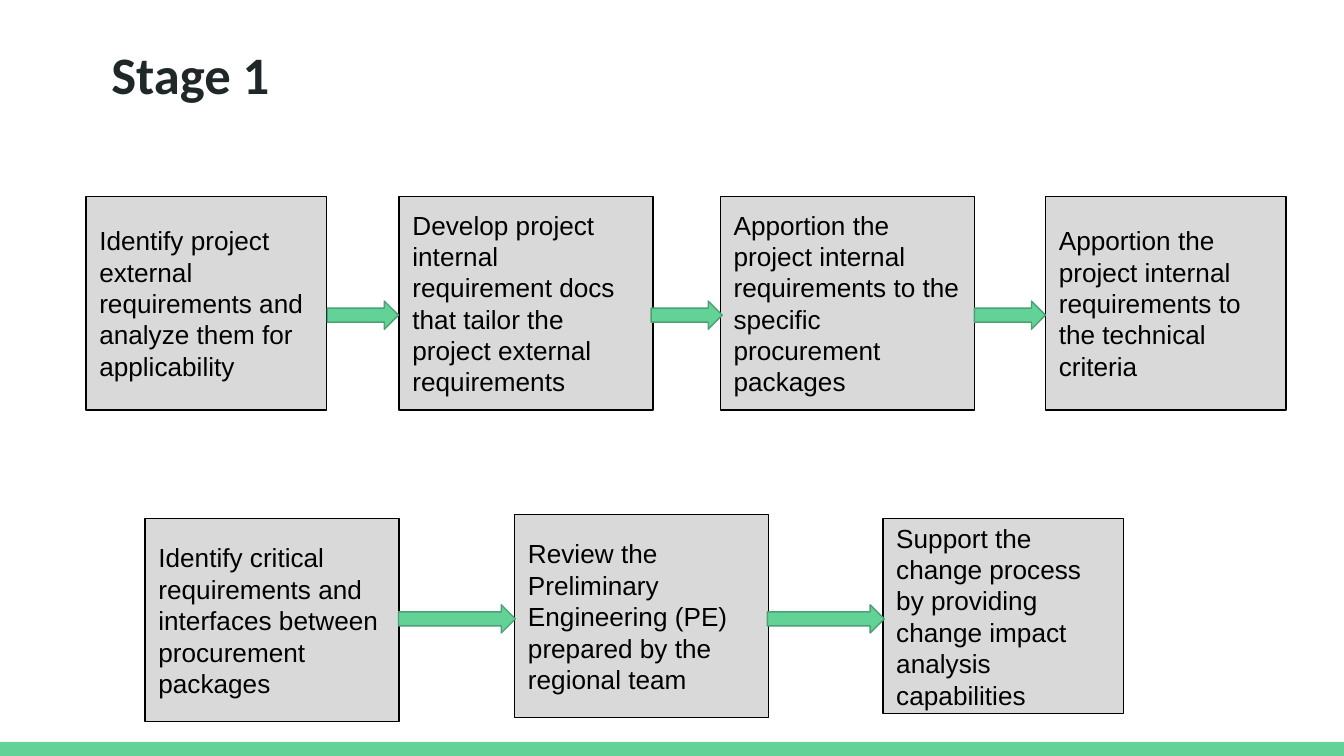
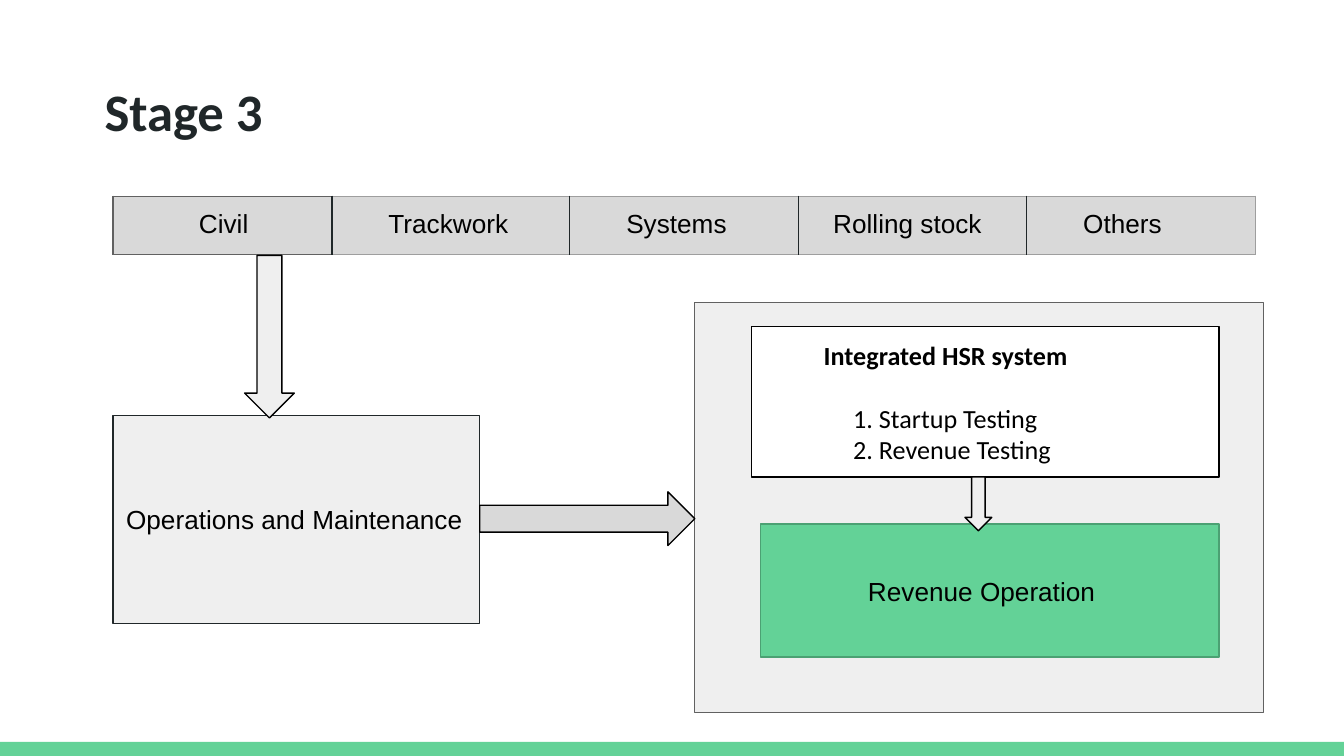
from lxml import etree
from pptx import Presentation
from pptx.dml.color import RGBColor
from pptx.enum.shapes import MSO_SHAPE as Preset
from pptx.enum.text import MSO_ANCHOR as Anchor, PP_ALIGN as Align
from pptx.oxml.ns import qn
from pptx.util import Inches, Pt

# Shared look
GREEN, DARK_GREEN = "63D297", "4BA173"
GREY, PALE, WHITE, BLACK = "D9D9D9", "EFEFEF", "FFFFFF", "000000"
INK, MID_GREY, LIGHT_GREY = "202729", "616161", "9E9E9E"
BODY = {"size": Pt(14), "name": "Arial", "bold": False}
CALIBRI_BODY = {**BODY, "name": "Calibri"}
TITLE = {"size": Pt(28.2), "name": "Calibri", "bold": True}
ARROW_HEIGHT = 0.21

# Stage 1: rows of steps, each step is (left, top, width, height, text)
STEP_ROWS = [
    {"arrow_top": 2.24, "arrow_width": 0.53, "steps": [
        (0.64, 1.46, 1.79, 1.59, "Identify project external requirements and "
         "analyze them for applicability"),
        (2.97, 1.46, 1.89, 1.59, "Develop project internal requirement docs "
         "that tailor the project external requirements"),
        (5.36, 1.46, 1.89, 1.59, "Apportion the project internal requirements "
         "to the specific procurement packages"),
        (7.78, 1.46, 1.79, 1.59, "Apportion the project internal requirements "
         "to the technical criteria"),
    ]},
    {"arrow_top": 4.5, "arrow_width": 0.87, "steps": [
        (1.08, 3.86, 1.89, 1.51, "Identify critical requirements and "
         "interfaces between procurement packages"),
        (3.83, 3.83, 1.89, 1.51, "Review the Preliminary Engineering (PE) "
         "prepared by the regional team"),
        (6.57, 3.86, 1.79, 1.45, "Support the change process by providing "
         "change impact analysis capabilities"),
    ]},
]

# Stage 3: (discipline, column width, text indent)
DISCIPLINES = [
    ("Civil", 1.63, 0.54),
    ("Trackwork", 1.77, 0.32),
    ("Systems", 1.7, 0.32),
    ("Rolling stock", 1.7, 0.16),
    ("Others", 1.7, 0.32),
]
TESTS = ["1. Startup Testing", "2. Revenue Testing"]
STAGE_ARROWS = [
    (Preset.DOWN_ARROW, (7.18, 3.55, 0.2, 0.4), PALE),
    (Preset.DOWN_ARROW, (1.82, 1.9, 0.37, 1.21), PALE),
    (Preset.RIGHT_ARROW, (3.57, 3.66, 1.6, 0.4), GREY),
]


def color(value):
    return RGBColor.from_string(value)


def write(paragraph, text, font, ink=BLACK, indent=0):
    properties = paragraph._p.get_or_add_pPr()
    properties.set("marL", str(Inches(indent)))
    properties.set("indent", "0")
    paragraph.alignment = Align.LEFT
    run = paragraph.add_run()
    run.text = text
    for key, value in font.items():
        setattr(run.font, key, value)
    run.font.color.rgb = color(ink)


def set_margins(holder, anchor):
    """Works for a text frame and for a table cell."""
    holder.vertical_anchor = anchor
    for side in ("left", "top", "right", "bottom"):
        setattr(holder, f"margin_{side}", Inches(0.1))


def add_shape(slide, place, fill, line=None, preset=Preset.RECTANGLE):
    shape = slide.shapes.add_shape(preset, *map(Inches, place))
    shape.shadow.inherit = False
    shape.fill.solid()
    shape.fill.fore_color.rgb = color(fill)
    if line:
        shape.line.color.rgb = color(line)
        shape.line.width = Pt(0.75)
    else:
        shape.line.fill.background()
    shape.text_frame.word_wrap = True
    set_margins(shape.text_frame, Anchor.MIDDLE)
    return shape


def add_box(slide, place, fill, line, text, indent=0):
    shape = add_shape(slide, place, fill, line)
    write(shape.text_frame.paragraphs[0], text, BODY, indent=indent)


def new_slide(presentation, title, place, indent):
    slide = presentation.slides.add_slide(presentation.slide_layouts[6])
    add_shape(slide, (0, 5.52, 10, 0.11), GREEN)
    frame = slide.shapes.add_textbox(*map(Inches, place)).text_frame
    frame.word_wrap = True
    set_margins(frame, Anchor.TOP)
    write(frame.paragraphs[0], title, TITLE, INK, indent)
    return slide


def set_borders(cell, sides):
    properties = cell._tc.get_or_add_tcPr()
    for position, (side, value) in enumerate(sides.items()):
        line = etree.Element(qn(f"a:ln{side}"), w=str(Pt(0.75)))
        fill = etree.SubElement(line, qn("a:solidFill"))
        etree.SubElement(fill, qn("a:srgbClr"), val=value)
        properties.insert(position, line)


def add_disciplines(slide):
    widths = [width for _, width, _ in DISCIPLINES]
    last = len(DISCIPLINES) - 1
    place = map(Inches, (0.84, 1.46, sum(widths), 0.43))
    table = slide.shapes.add_table(1, len(DISCIPLINES), *place).table
    table.first_row = table.horz_banding = False
    for index, (name, width, indent) in enumerate(DISCIPLINES):
        table.columns[index].width = Inches(width)
        cell = table.cell(0, index)
        cell.fill.solid()
        cell.fill.fore_color.rgb = color(GREY)
        set_margins(cell, Anchor.TOP)
        write(cell.text_frame.paragraphs[0], name, BODY, indent=indent)
        edge = MID_GREY if index == 0 else LIGHT_GREY
        set_borders(cell, {
            "L": MID_GREY if index == 0 else INK,
            "R": LIGHT_GREY if index == last else INK,
            "T": edge, "B": edge})


def add_testing(slide):
    frame = add_shape(slide, (5.59, 2.43, 3.48, 1.12), WHITE, BLACK).text_frame
    heading = {**CALIBRI_BODY, "bold": True}
    write(frame.paragraphs[0], "Integrated HSR system", heading, indent=0.44)
    for index, test in enumerate(TESTS):
        paragraph = frame.add_paragraph()
        if index == 0:
            paragraph.space_before = Pt(17)
        write(paragraph, test, CALIBRI_BODY, indent=0.66)


def build_stage_1(presentation):
    slide = new_slide(presentation, "Stage 1", (0.64, 0.21, 8.5, 0.76), 0.09)
    for row in STEP_ROWS:
        for *place, text in row["steps"]:
            add_box(slide, place, GREY, BLACK, text)
        # Each arrow is centred on the gap between two steps
        for before, after in zip(row["steps"], row["steps"][1:]):
            middle = (before[0] + before[2] + after[0]) / 2
            place = (middle - row["arrow_width"] / 2, row["arrow_top"],
                     row["arrow_width"], ARROW_HEIGHT)
            add_shape(slide, place, GREEN, DARK_GREEN, Preset.RIGHT_ARROW)


def build_stage_3(presentation):
    slide = new_slide(presentation, "Stage 3", (0.5, 0.49, 9.16, 0.63), 0.18)
    add_disciplines(slide)
    add_box(slide, (0.84, 3.09, 2.73, 1.55), PALE, INK,
            "Operations and Maintenance")
    add_shape(slide, (5.17, 2.25, 4.23, 3.05), PALE, MID_GREY)
    add_testing(slide)
    add_box(slide, (5.66, 3.9, 3.41, 0.99), GREEN, DARK_GREEN,
            "Revenue Operation", indent=0.7)
    for preset, place, fill in STAGE_ARROWS:
        add_shape(slide, place, fill, BLACK, preset)


def main():
    presentation = Presentation()
    # Widescreen, 16 to 9
    presentation.slide_width = Inches(10)
    presentation.slide_height = Inches(10) * 9 // 16
    build_stage_1(presentation)
    build_stage_3(presentation)
    presentation.save("out.pptx")


if __name__ == "__main__":
    main()
